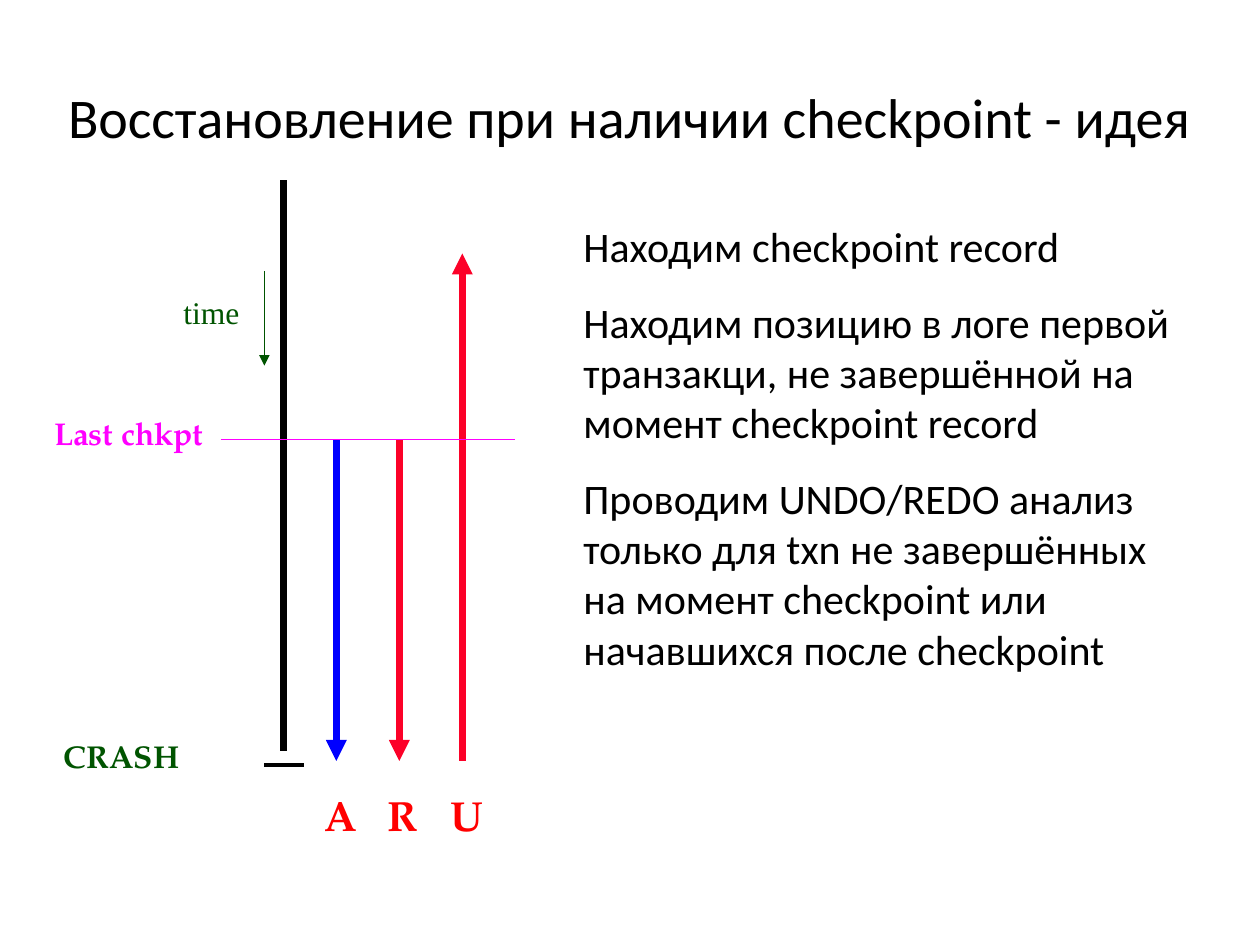
from pptx import Presentation
from pptx.dml.color import RGBColor
from pptx.enum.shapes import MSO_CONNECTOR
from pptx.enum.text import MSO_ANCHOR, MSO_AUTO_SIZE, PP_ALIGN
from pptx.oxml.ns import qn
from pptx.util import Cm, Pt
from lxml.etree import SubElement

BLACK = RGBColor(0x00, 0x00, 0x00)
MAGENTA = RGBColor(0xFF, 0x00, 0xFF)
GREEN = RGBColor(0x00, 0x54, 0x00)
BLUE = RGBColor(0x00, 0x00, 0xFF)
CRIMSON = RGBColor(0xFC, 0x01, 0x28)
RED = RGBColor(0xFF, 0x00, 0x00)


class SlideBuilder:
    """Holds the text style and the slide being filled."""
    body_font = "Calibri"
    label_font = "TeX Gyre Pagella"

    def __init__(self, slide):
        self.slide = slide

    def format_runs(self, paragraph, font, size, color, bold=False):
        for run in paragraph.runs:
            run.font.name = font
            run.font.size = Pt(size)
            run.font.color.rgb = color
            run.font.bold = bold

    def place(self, shape, left, top, width, height):
        shape.left, shape.top = Cm(left), Cm(top)
        shape.width, shape.height = Cm(width), Cm(height)

    def fill_placeholder(self, shape, box, text, size, anchor):
        self.place(shape, *box)
        text_frame = shape.text_frame
        text_frame.text = text
        text_frame.auto_size = MSO_AUTO_SIZE.NONE
        text_frame.vertical_anchor = anchor
        text_frame.margin_left = text_frame.margin_right = 0
        text_frame.margin_top = text_frame.margin_bottom = 0
        for paragraph in text_frame.paragraphs:
            self.format_runs(paragraph, self.body_font, size, BLACK)
        return text_frame.paragraphs

    def title(self, box, text):
        paragraphs = self.fill_placeholder(
            self.slide.shapes.title, box, text, 32, MSO_ANCHOR.MIDDLE)
        paragraphs[0].alignment = PP_ALIGN.CENTER

    def body(self, box, items):
        paragraphs = self.fill_placeholder(
            self.slide.placeholders[1], box, "\n".join(items), 24, MSO_ANCHOR.TOP)
        for paragraph in paragraphs:
            paragraph.space_before = Pt(0)
            paragraph.space_after = Pt(14.2)
            properties = paragraph._p.get_or_add_pPr()
            properties.set("marL", str(Cm(1.19)))
            properties.set("indent", "0")
            SubElement(properties, qn("a:buNone"))

    def label(self, box, text, color, size=18, font=label_font, bold=True, wrap=True):
        shape = self.slide.shapes.add_textbox(*map(Cm, box))
        shape.text_frame.text = text
        shape.text_frame.word_wrap = wrap
        self.format_runs(shape.text_frame.paragraphs[0], font, size, color, bold)

    def line(self, start, end, color, width, arrow=False):
        connector = self.slide.shapes.add_connector(
            MSO_CONNECTOR.STRAIGHT, *map(Cm, start + end))
        connector.line.color.rgb = color
        connector.line.width = Pt(width)
        properties = connector._element.spPr
        if arrow:
            SubElement(properties.find(qn("a:ln")), qn("a:tailEnd"), type="triangle")
        SubElement(properties, qn("a:effectLst"))


presentation = Presentation()
presentation.slide_width, presentation.slide_height = Cm(25.4), Cm(19.05)
builder = SlideBuilder(presentation.slides.add_slide(presentation.slide_layouts[1]))

# Title and steps
builder.title((1.27, 0.76, 22.86, 3.18), "Восстановление при наличии checkpoint - идея")
builder.body((10.57, 4.45, 13.56, 12.57), [
    "Находим checkpoint record",
    "Находим позицию в логе первой транзакци, не завершённой на момент checkpoint record",
    "Проводим UNDO/REDO анализ только для txn не завершённых на момент checkpoint "
    "или начавшихся после checkpoint",
])

# Log axis with the crash mark
builder.line((5.72, 3.63), (5.72, 15.14), BLACK, 4)
builder.label((0.84, 8.23, 4.67, 1.02), "Last chkpt", MAGENTA)
builder.label((1.04, 14.73, 4.67, 1.02), "CRASH", GREEN)
builder.line((5.33, 15.42), (6.12, 15.42), BLACK, 2)

# Analysis, redo and undo passes
CHECKPOINT_Y, CRASH_Y, UNDO_Y = 8.86, 15.34, 5.11
passes = [
    ("A", BLUE, CHECKPOINT_Y, CRASH_Y),
    ("R", CRIMSON, CHECKPOINT_Y, CRASH_Y),
    ("U", CRIMSON, CRASH_Y, UNDO_Y),
]
for index, (letter, color, start_y, end_y) in enumerate(passes):
    x = 6.78 + 1.27 * index
    builder.line((x, start_y), (x, end_y), color, 4, arrow=True)
    builder.label((x - 0.48, 15.8, 1.14, 1.27), letter, RED, size=24, wrap=False)

# Time direction and checkpoint level
builder.label((3.45, 5.79, 1.63, 1.02), "time", GREEN,
              font="Times New Roman", bold=False, wrap=False)
builder.line((5.33, 5.46), (5.33, 7.37), GREEN, 0.74, arrow=True)
builder.line((4.45, CHECKPOINT_Y), (10.39, CHECKPOINT_Y), MAGENTA, 0.74)

presentation.save("out.pptx")
